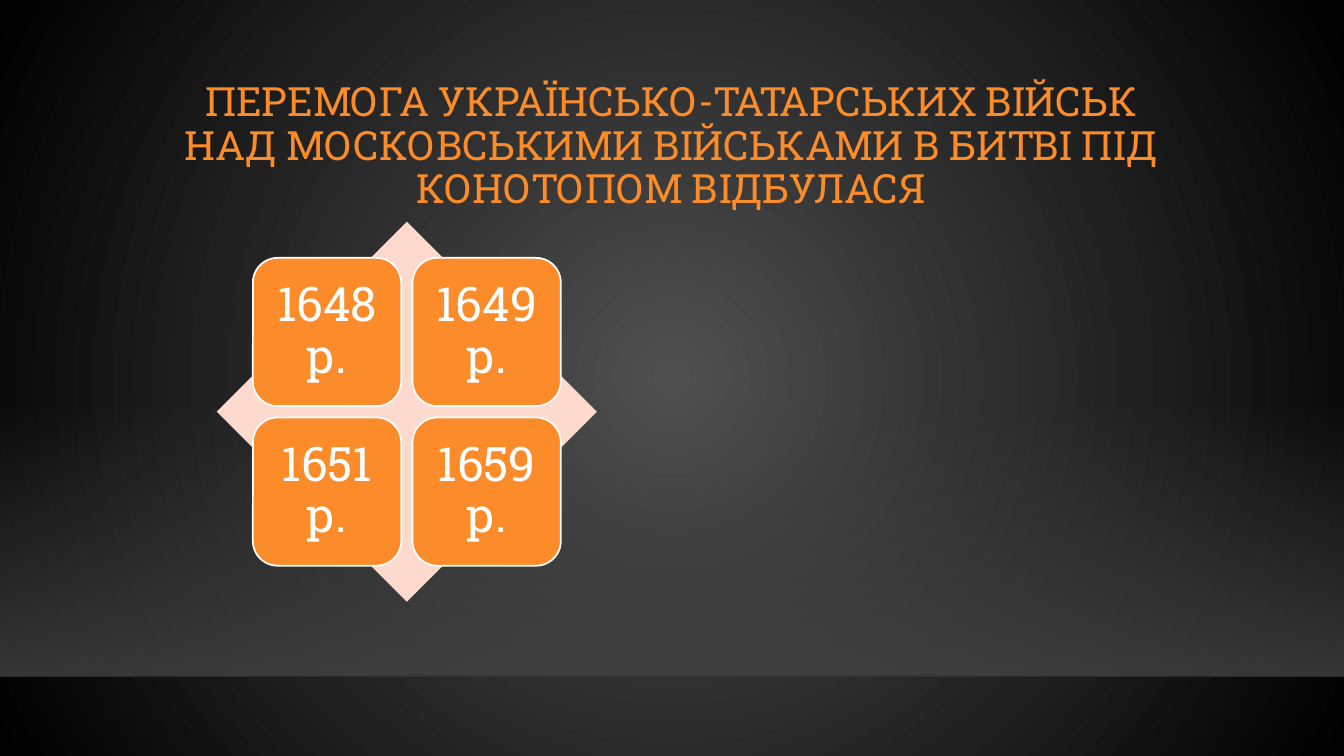
from lxml import etree
from pptx import Presentation
from pptx import util as u
from pptx.dml.color import RGBColor
from pptx.enum import shapes, text
from pptx.oxml.ns import qn

ORANGE = RGBColor(0xFB, 0x8C, 0x29)
PEACH = RGBColor(0xFD, 0xDA, 0xCD)
WHITE = RGBColor(0xFF, 0xFF, 0xFF)
GLOW = RGBColor(0x50, 0x50, 0x50)
BLACK = RGBColor(0, 0, 0)
FLOOR = RGBColor(0x45, 0x45, 0x45)
EDGE = RGBColor(0, 0, 1)
FONT = "Roboto Slab"
WIDTH, HEIGHT = 13.33, 7.5
QUESTION = ("ПЕРЕМОГА УКРАЇНСЬКО-ТАТАРСЬКИХ ВІЙСЬК НАД МОСКОВСЬКИМИ "
            "ВІЙСЬКАМИ В БИТВІ ПІД КОНОТОПОМ ВІДБУЛАСЯ")
YEARS = [["1648 р.", "1649 р."], ["1651 р.", "1659 р."]]


def add_alpha(color, percent):
    etree.SubElement(color, qn("a:alpha"), val=str(percent * 1000))


def set_gradient(owner, stops, angle=None):
    solid = owner.find(qn("a:solidFill"))
    gradient = etree.Element(qn("a:gradFill"), rotWithShape="1")
    stop_list = etree.SubElement(gradient, qn("a:gsLst"))
    for position, color, opacity in stops:
        stop = etree.SubElement(stop_list, qn("a:gs"), pos=str(position * 1000))
        add_alpha(etree.SubElement(stop, qn("a:srgbClr"), val=str(color)), opacity)
    if angle is None:
        circle = etree.SubElement(gradient, qn("a:path"), path="circle")
        etree.SubElement(circle, qn("a:fillToRect"),
                         l="50000", t="50000", r="50000", b="50000")
    else:
        etree.SubElement(gradient, qn("a:lin"), ang=str(angle * 60000), scaled="0")
    owner.replace(solid, gradient)


def add_panel(slide, kind, left, top, width, height, color):
    panel = slide.shapes.add_shape(
        kind, u.Inches(left), u.Inches(top), u.Inches(width), u.Inches(height))
    panel.shadow.inherit = False
    panel.fill.solid()
    panel.fill.fore_color.rgb = color
    panel.line.fill.background()
    return panel


def write_centred(frame, words, size, color):
    frame.word_wrap = True
    frame.vertical_anchor = text.MSO_ANCHOR.MIDDLE
    paragraph = frame.paragraphs[0]
    paragraph.text = words
    paragraph.alignment = text.PP_ALIGN.CENTER
    paragraph.line_spacing = 0.9
    paragraph.font.name = FONT
    paragraph.font.size = u.Pt(size)
    paragraph.font.color.rgb = color
    return paragraph


def add_backdrop(slide, top, height):
    slide.background.fill.solid()
    set_gradient(slide.element.find(".//" + qn("p:bgPr")),
                 [(0, GLOW, 100), (100, BLACK, 100)])
    floor = add_panel(slide, shapes.MSO_SHAPE.RECTANGLE, 0, top, WIDTH, height, FLOOR)
    set_gradient(floor.element.spPr, [(0, FLOOR, 0), (100, FLOOR, 80)], 90)
    edge_y = u.Inches(top + height)
    edge = slide.shapes.add_connector(
        shapes.MSO_CONNECTOR.STRAIGHT, 0, edge_y, u.Inches(WIDTH), edge_y)
    edge.line.width = u.Pt(1)
    edge.line.color.rgb = EDGE
    add_alpha(edge.element.spPr.find(".//" + qn("a:srgbClr")), 20)
    etree.SubElement(edge.element.spPr, qn("a:effectLst"))


def add_question(slide, left, top, width, height):
    question = slide.shapes.add_textbox(
        u.Inches(left), u.Inches(top), u.Inches(width), u.Inches(height))
    write_centred(question.text_frame, QUESTION, 28.8, ORANGE)


def add_year_matrix(slide, left, top, side):
    add_panel(slide, shapes.MSO_SHAPE.DIAMOND, left, top, side, side, PEACH)
    margin, tile, pitch = side * 0.095, side * 0.39, side * 0.42
    for row, years in enumerate(YEARS):
        for column, year in enumerate(years):
            answer = add_panel(slide, shapes.MSO_SHAPE.ROUNDED_RECTANGLE,
                               left + margin + column * pitch,
                               top + margin + row * pitch, tile, tile, ORANGE)
            answer.line.color.rgb = WHITE
            answer.line.width = u.Pt(1.25)
            frame = answer.text_frame
            frame.margin_left = frame.margin_right = u.Inches(0.14)
            frame.margin_top = frame.margin_bottom = u.Inches(0.14)
            write_centred(frame, year, 34, WHITE).space_after = u.Pt(12)


def main():
    deck = Presentation()
    deck.slide_width, deck.slide_height = u.Inches(WIDTH), u.Inches(HEIGHT)
    slide = deck.slides.add_slide(deck.slide_layouts[6])
    add_backdrop(slide, 3.96, 2.75)
    add_question(slide, 1.58, 0.88, 10.16, 1.16)
    add_year_matrix(slide, 2.15, 2.2, 3.77)
    deck.save("out.pptx")


if __name__ == "__main__":
    main()
